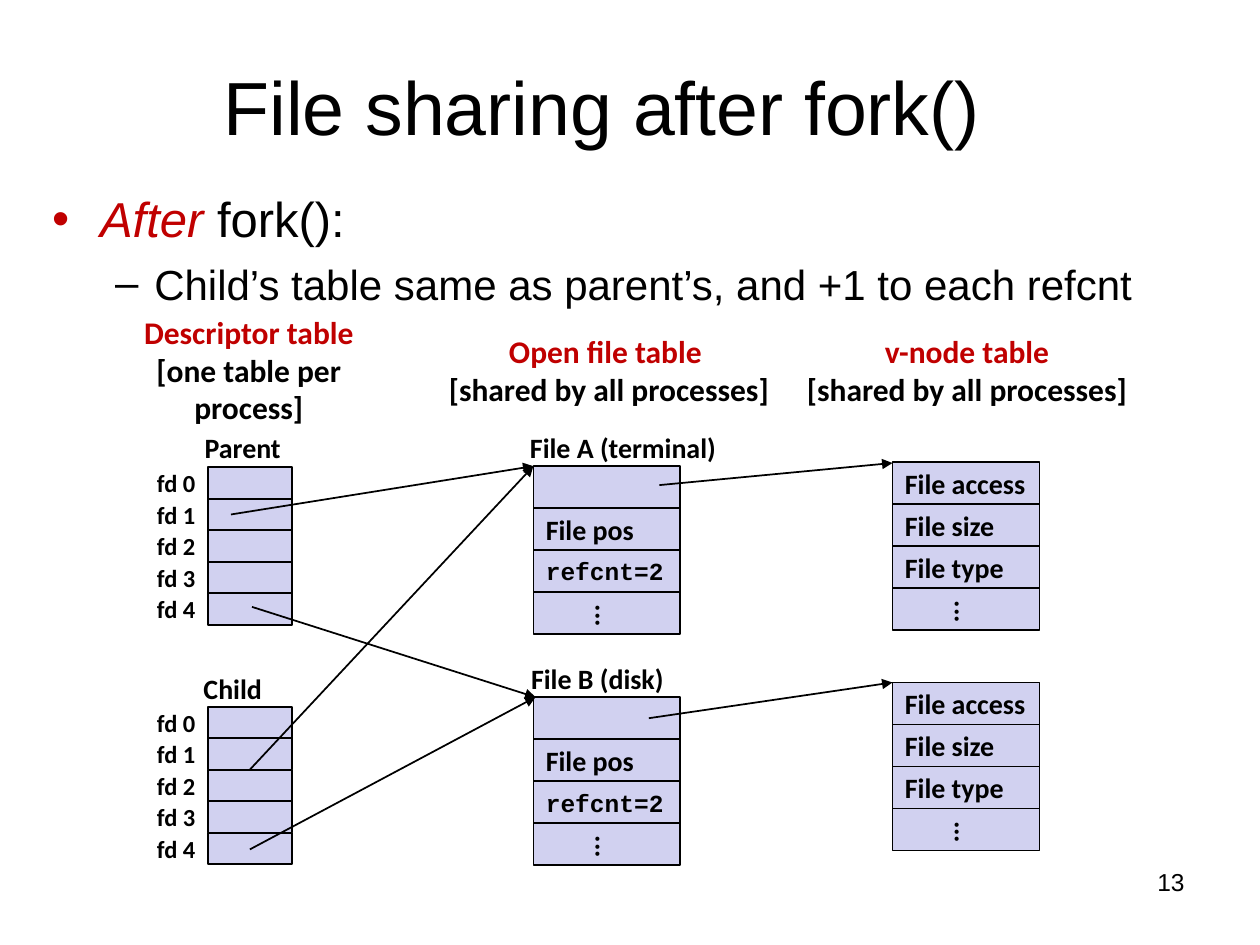
from dataclasses import dataclass

from pptx import Presentation
from pptx import util as u
from pptx.dml.color import RGBColor
from pptx.enum import shapes, text
from pptx.oxml.ns import qn
from lxml import etree

A, PA = text.MSO_ANCHOR, text.PP_ALIGN


@dataclass(frozen=True)
class Theme:
    ink: str = "000000"
    accent: str = "C00000"
    cell: str = "D1D1F0"
    sans: str = "Arial"
    label: str = "Calibri"
    code: str = "Courier New"
    title: int = 43
    bullet: int = 28
    sub_bullet: int = 24
    heading: int = 18
    field: int = 16
    small: int = 14


T = Theme()


def grid(n):
    """Columns or rows of a 120 x 90 grid, each a twelfth of an inch."""
    return u.Inches(n / 12)


def rgb(value):
    return RGBColor.from_string(value)


def add_run(p, words, size, font=T.label, color=T.ink, bold=False, italic=False):
    r = p.add_run()
    r.text = words
    f = r.font
    f.size, f.name, f.bold, f.italic = u.Pt(size), font, bold, italic
    f.color.rgb = rgb(color)


def text_box(s, x, y, w, h, align=PA.LEFT, anchor=A.MIDDLE, wrap=False):
    tf = s.shapes.add_textbox(grid(x), grid(y), grid(w), grid(h)).text_frame
    tf.word_wrap, tf.vertical_anchor = wrap, anchor
    tf.paragraphs[0].alignment = align
    return tf


def label(s, words, x, y, w, h, size=T.field, align=PA.LEFT):
    tf = text_box(s, x, y, w, h, align)
    add_run(tf.paragraphs[0], words, size, bold=True)


def heading(s, name, scope, x, w):
    tf = text_box(s, x, 31, w, 8.4, PA.CENTER)
    add_run(tf.paragraphs[0], name, T.heading, color=T.accent, bold=True)
    p = tf.add_paragraph()
    p.alignment = PA.CENTER
    add_run(p, scope, T.heading, bold=True)


def set_bullet(p, char, color, left, hanging):
    pPr = p._p.get_or_add_pPr()
    pPr.set("marL", str(u.Inches(left)))
    pPr.set("indent", str(-u.Inches(hanging)))
    clr = etree.SubElement(pPr, qn("a:buClr"))
    etree.SubElement(clr, qn("a:srgbClr"), val=color)
    etree.SubElement(pPr, qn("a:buFont"), typeface=T.sans)
    etree.SubElement(pPr, qn("a:buChar"), char=char)


def cell(s, x, y, w, h, words=""):
    sp = s.shapes.add_shape(shapes.MSO_SHAPE.RECTANGLE, grid(x), grid(y), grid(w), grid(h))
    sp.shadow.inherit = False
    sp.fill.solid()
    sp.fill.fore_color.rgb = rgb(T.cell)
    sp.line.color.rgb = rgb(T.ink)
    sp.line.width = u.Pt(1)
    if not words:
        return
    tf = sp.text_frame
    tf.word_wrap, tf.vertical_anchor = False, A.MIDDLE
    p = tf.paragraphs[0]
    p.alignment = PA.LEFT
    if words == "...":  # dots run down the cell
        tf._txBody.bodyPr.set("vert", "eaVert")
        tf.margin_left = tf.margin_right = u.Inches(0.05)
        tf.margin_top = tf.margin_bottom = u.Inches(0.1)
    is_code = "=" in words
    add_run(p, words, T.small if is_code else T.field,
            T.code if is_code else T.label, bold=True)


def descriptor_table(s, y):
    for i in range(5):
        cell(s, 19.8, y + 3 * i, 8, 3)
        label(s, f"fd {i}", 11.8, y + 3 * i, 8, 3, T.small, PA.RIGHT)


def record(s, x, y, fields):
    for i, field in enumerate(fields):
        cell(s, x, y + 4 * i, 14, 4, field)


def arrow(s, x1, y1, x2, y2):
    c = s.shapes.add_connector(shapes.MSO_CONNECTOR.STRAIGHT,
                               grid(x1), grid(y1), grid(x2), grid(y2))
    c.line.color.rgb = rgb(T.ink)
    c.line.width = u.Pt(1)
    etree.SubElement(c.line._get_or_add_ln(), qn("a:tailEnd"), type="triangle")
    etree.SubElement(c._element.spPr, qn("a:effectLst"))


def title_and_bullets(s):
    tf = text_box(s, 3.6, 5, 107.4, 10, PA.CENTER, wrap=True)
    add_run(tf.paragraphs[0], "File sharing after fork()", T.title, T.sans)

    tf = text_box(s, 3.8, 17.4, 109.2, 17, anchor=A.TOP, wrap=True)
    p = tf.paragraphs[0]
    set_bullet(p, "•", T.accent, 0.38, 0.38)
    add_run(p, "After", T.bullet, T.sans, T.accent, italic=True)
    add_run(p, " fork():", T.bullet, T.sans)
    p = tf.add_paragraph()
    p.level = 1
    set_bullet(p, "–", T.ink, 0.81, 0.31)
    p.space_before = u.Pt(6)
    add_run(p, "Child’s table same as parent’s, and +1 to each refcnt", T.sub_bullet, T.sans)


def main():
    prs = Presentation()
    prs.slide_width, prs.slide_height = grid(120), grid(90)
    s = prs.slides.add_slide(prs.slide_layouts[6])

    title_and_bullets(s)

    # Column headings
    shared = "[shared by all processes]"
    heading(s, "Descriptor table", "[one table per process]", 8.2, 31)
    heading(s, "Open file table ", shared, 41.5, 33)
    heading(s, "v-node table", shared, 75.6, 33)

    # Descriptor tables, open files and v-nodes
    parent_y, child_y = 44.5, 67.3
    file_x, file_ys = 50.8, (44.4, 66.4)
    node_x, node_ys = 85, (44, 65)
    for y in (parent_y, child_y):
        descriptor_table(s, y)
    for y in file_ys:
        record(s, file_x, y, ("", "File pos", "refcnt=2", "..."))
    for y in node_ys:
        record(s, node_x, y, ("File access", "File size", "File type", "..."))

    # Names above the tables
    for words, x, y, w in (("Parent", 18.3, 40.4, 9.7), ("Child", 18.2, 63.4, 8),
                           ("File A (terminal)", 49.3, 40.4, 20.2),
                           ("File B (disk)", 49.4, 62.4, 15)):
        label(s, words, x, y, w, 4.4)

    # Pointers: descriptors to files, files to v-nodes
    file_a, file_b = file_ys
    arrow(s, 22, 49, file_x, file_a)
    arrow(s, 24, 57.8, 51, file_b)
    arrow(s, 23.8, 73.3, file_x, file_a)
    arrow(s, 23.8, 80.9, 51, file_b)
    arrow(s, 62.8, 46.2, node_x, node_ys[0] + 0.1)
    arrow(s, 61.8, 68.4, node_x, node_ys[1])

    # Page number
    tf = text_box(s, 86, 82, 28, 6.2, PA.RIGHT, A.TOP, wrap=True)
    add_run(tf.paragraphs[0], "13", T.small, T.sans)

    prs.save("out.pptx")


if __name__ == "__main__":
    main()
